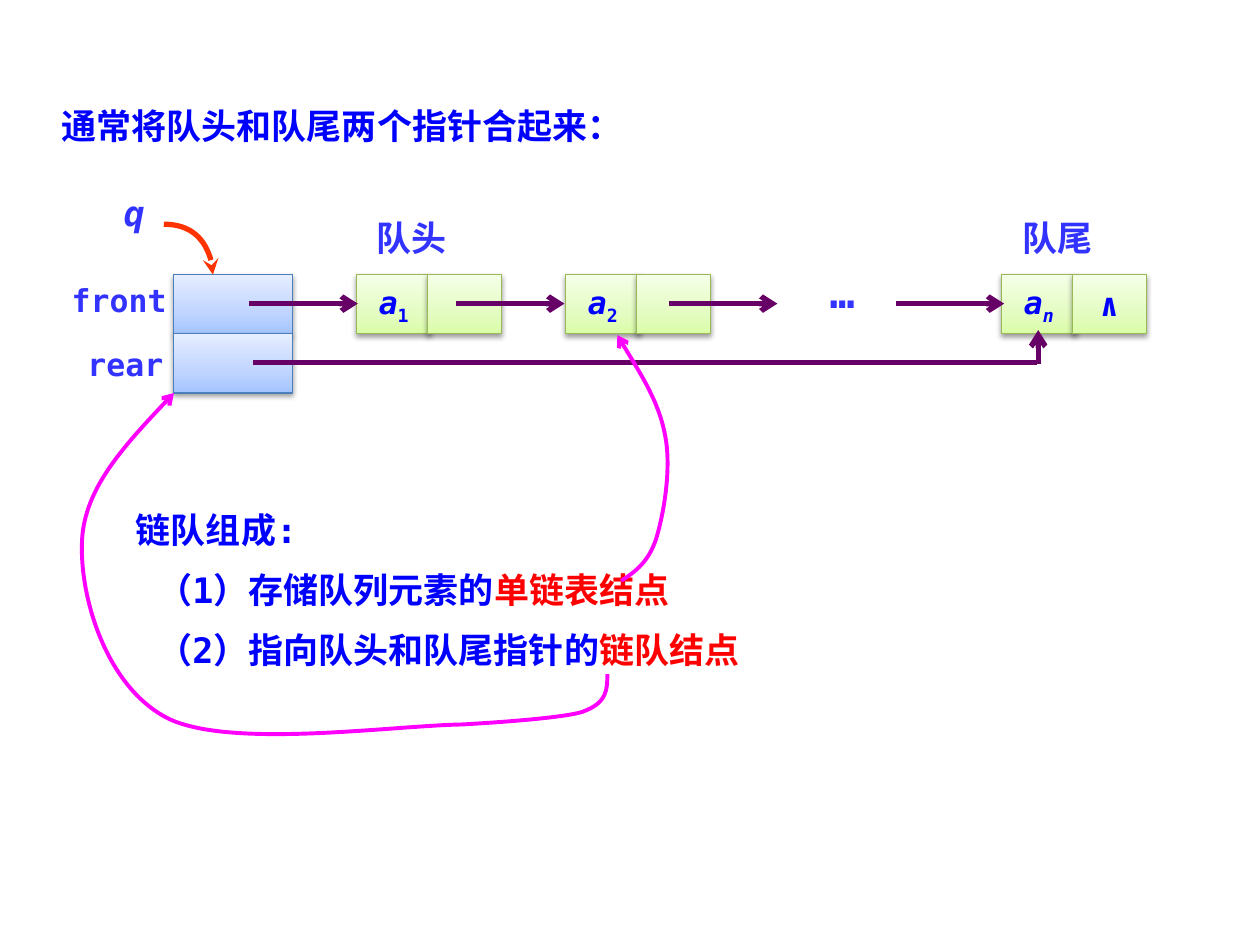
from lxml import etree
from pptx import Presentation
from pptx.dml.color import RGBColor
from pptx.enum.shapes import MSO_CONNECTOR, MSO_SHAPE
from pptx.enum.text import MSO_ANCHOR, MSO_AUTO_SIZE, PP_ALIGN
from pptx.oxml.ns import qn
from pptx.util import Inches, Pt

RECTANGLE = MSO_SHAPE.RECTANGLE
STRAIGHT = MSO_CONNECTOR.STRAIGHT
MIDDLE = MSO_ANCHOR.MIDDLE
FIT_SHAPE = MSO_AUTO_SIZE.SHAPE_TO_FIT_TEXT
LEFT, CENTER, JUSTIFY = PP_ALIGN.LEFT, PP_ALIGN.CENTER, PP_ALIGN.JUSTIFY

FONT = "DejaVu Sans Mono"
COLORS = {
    "text": "0000FF",
    "label": "3333FF",
    "emphasis": "FF0000",
    "link": "660066",
    "callout": "FF00FF",
    "pointer": "FF3300",
    "header_line": "4B7EBC",
    "node_line": "98B955",
}
GRADIENTS = {
    "header": ((0, "A4C4FF"), (35, "BFD4FF"), (100, "E6EEFF")),
    "node": ((0, "DAFDA7"), (35, "E4FCC2"), (100, "F5FFE7")),
}


def add_element(parent, tag, **attributes):
    return etree.SubElement(parent, qn(tag), attributes)


def set_font(paragraph, size, color, italic=False):
    paragraph.font.name = FONT
    paragraph.font.size = Pt(size)
    paragraph.font.bold = True
    paragraph.font.italic = italic
    paragraph.font.color.rgb = RGBColor.from_string(COLORS[color])


presentation = Presentation()
presentation.slide_width = Inches(10)
presentation.slide_height = Inches(7.5)
slide = presentation.slides.add_slide(presentation.slide_layouts[6])
shapes = slide.shapes

ROW_TOP, ROW_HEIGHT = 2.18, 0.47
CELL_WIDTH, CELL_STEP = 0.59, 0.56
cells = [
    (1.38, ROW_TOP, 0.94, "header", "", ""),
    (1.38, ROW_TOP + ROW_HEIGHT, 0.94, "header", "", ""),
]
for left, subscript, pointer in ((2.83, "1", ""), (4.49, "2", ""), (7.95, "n", "∧")):
    cells.append((left, ROW_TOP, CELL_WIDTH, "node", "a", subscript))
    cells.append((left + CELL_STEP, ROW_TOP, CELL_WIDTH, "node", pointer, ""))

for left, top, width, kind, text, subscript in cells:
    cell = shapes.add_shape(
        RECTANGLE, Inches(left), Inches(top), Inches(width), Inches(ROW_HEIGHT)
    )
    cell.fill.gradient()
    cell.fill.gradient_angle = 90
    cell.line.color.rgb = RGBColor.from_string(COLORS[kind + "_line"])
    cell.line.width = Pt(0.75)
    cell.shadow.inherit = False
    properties = cell._element.spPr
    stops = properties.find(qn("a:gradFill")).find(qn("a:gsLst"))
    for stop in list(stops):
        stops.remove(stop)
    for position, color in GRADIENTS[kind]:
        stop = add_element(stops, "a:gs", pos=str(position * 1000))
        add_element(stop, "a:srgbClr", val=color)
    shadow = add_element(
        properties.find(qn("a:effectLst")), "a:outerShdw",
        blurRad=str(Pt(3.1)), dist=str(Pt(1.6)), dir="5400000", rotWithShape="0",
    )
    shadow_color = add_element(shadow, "a:srgbClr", val="000000")
    add_element(shadow_color, "a:alpha", val="38000")
    if text:
        frame = cell.text_frame
        frame.word_wrap = False
        frame.vertical_anchor = MIDDLE
        paragraph = frame.paragraphs[0]
        paragraph.alignment = CENTER
        set_font(paragraph, 18, "text", italic=text == "a")
        paragraph.add_run().text = text
        if subscript:
            run = paragraph.add_run()
            run.text = subscript
            run.font.italic = subscript == "n"
            run._r.get_or_add_rPr().set("baseline", "-25000")

LINK_Y, REAR_Y = 2.41, 2.88
links = [
    (start, LINK_Y, start + 0.86, LINK_Y, True) for start in (1.98, 3.62, 5.31, 7.11)
]
links += [(2.01, REAR_Y, 8.23, REAR_Y, False), (8.24, 2.89, 8.24, 2.62, True)]
for x1, y1, x2, y2, has_arrow in links:
    link = shapes.add_connector(STRAIGHT, Inches(x1), Inches(y1), Inches(x2), Inches(y2))
    link.line.color.rgb = RGBColor.from_string(COLORS["link"])
    link.line.width = Pt(3)
    properties = link._element.spPr
    if has_arrow:
        add_element(properties.find(qn("a:ln")), "a:tailEnd", type="arrow")
    add_element(properties, "a:effectLst")

labels = [
    (0.39, 0.78, 5.78, 0.44, "通常将队头和队尾两个指针合起来：", 20, "text", LEFT),
    (0.83, 1.47, 0.47, 0.44, "q", 20, "label", CENTER),
    (2.72, 1.67, 1.1, 0.44, "队头", 20, "label", CENTER),
    (7.84, 1.67, 1.1, 0.44, "队尾", 20, "label", CENTER),
    (6.21, 2.07, 0.95, 0.5, "…", 24, "label", CENTER),
    (0.42, 2.18, 1.05, 0.4, "front", 18, "label", CENTER),
    (0.56, 2.69, 0.87, 0.4, "rear", 18, "label", CENTER),
]
for left, top, width, height, text, size, color, alignment in labels:
    label = shapes.add_textbox(Inches(left), Inches(top), Inches(width), Inches(height))
    label.text_frame.word_wrap = True
    label.text_frame.auto_size = FIT_SHAPE
    paragraph = label.text_frame.paragraphs[0]
    paragraph.alignment = alignment
    set_font(paragraph, size, color, italic=text == "q")
    paragraph.add_run().text = text

summary = shapes.add_textbox(Inches(0.98), Inches(3.99), Inches(5.58), Inches(1.45))
frame = summary.text_frame
frame.word_wrap = True
frame.auto_size = FIT_SHAPE
paragraph = frame.paragraphs[0]
paragraph.alignment = JUSTIFY
set_font(paragraph, 20, "text")
paragraph.add_run().text = "链队组成:"
for text, emphasis in (
    ("（1）存储队列元素的", "单链表结点"),
    ("（2）指向队头和队尾指针的", "链队结点"),
):
    paragraph = frame.add_paragraph()
    paragraph.alignment = JUSTIFY
    paragraph.space_before = Pt(10)
    paragraph._p.get_or_add_pPr().set("marL", str(Inches(0.17)))
    paragraph._p.get_or_add_pPr().set("indent", "0")
    set_font(paragraph, 20, "text")
    paragraph.add_run().text = text
    run = paragraph.add_run()
    run.text = emphasis
    run.font.color.rgb = RGBColor.from_string(COLORS["emphasis"])

curves = [
    ("pointer", 3, "stealth", [(1.3, 1.78), (1.52, 1.78), (1.69, 1.96), (1.69, 2.18)]),
    ("callout", 2.25, "arrow", [
        (4.93, 4.61), (5.04, 4.54), (5.15, 4.46), (5.21, 4.27), (5.27, 4.07),
        (5.33, 3.72), (5.28, 3.46), (5.23, 3.19), (5.06, 2.93), (4.9, 2.66),
    ]),
    ("callout", 2.25, "arrow", [
        (4.82, 5.35), (4.82, 5.47), (4.82, 5.58), (4.62, 5.65), (4.43, 5.71),
        (3.66, 5.75), (3.66, 5.75), (3.11, 5.76), (1.86, 5.94), (1.35, 5.71),
        (0.85, 5.47), (0.64, 4.76), (0.65, 4.33), (0.65, 3.9), (1.01, 3.51), (1.38, 3.12),
    ]),
]
for color, width, arrow, points in curves:
    start, *controls = [(Inches(x), Inches(y)) for x, y in points]
    builder = shapes.build_freeform(*start)
    builder.add_line_segments(controls, close=False)
    curve = builder.convert_to_shape()
    curve.fill.background()
    curve.line.color.rgb = RGBColor.from_string(COLORS[color])
    curve.line.width = Pt(width)
    curve.shadow.inherit = False
    properties = curve._element.spPr
    add_element(properties.find(qn("a:ln")), "a:tailEnd", type=arrow)
    outline = next(properties.iter(qn("a:path")))
    segments = outline.findall(qn("a:lnTo"))
    for index in range(0, len(segments), 3):
        bezier = add_element(outline, "a:cubicBezTo")
        for segment in segments[index:index + 3]:
            bezier.append(segment[0])
            outline.remove(segment)

presentation.save("out.pptx")
